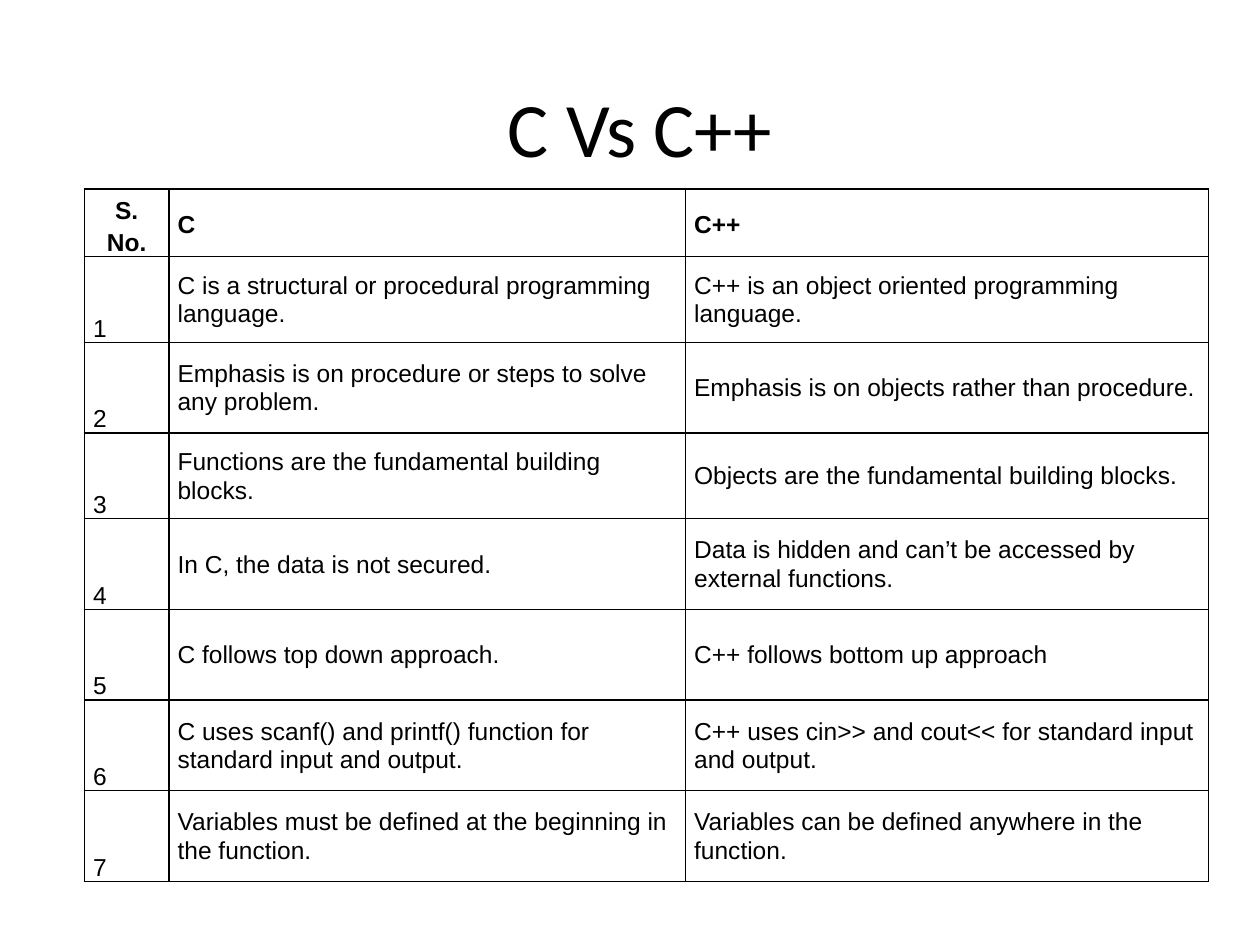
from lxml import etree
from pptx import Presentation
from pptx import util as u
from pptx.dml.color import RGBColor
from pptx.enum import text
from pptx.oxml.ns import qn

COLORS = {"ink": "000000", "paper": "FFFFFF"}
COLUMN_WIDTHS = [0.67, 4.1, 4.15]
ROW_HEIGHTS = [0.51, 0.68, 0.72, 0.68, 0.72, 0.72, 0.72, 0.72]
HEADER = ("S. No.", "C", "C++")
COMPARISONS = [
    ("C is a structural or procedural programming language.",
     "C++ is an object oriented programming language."),
    ("Emphasis is on procedure or steps to solve any problem.",
     "Emphasis is on objects rather than procedure."),
    ("Functions are the fundamental building blocks.",
     "Objects are the fundamental building blocks."),
    ("In C, the data is not secured.",
     "Data is hidden and can’t be accessed by external functions."),
    ("C follows top down approach.",
     "C++ follows bottom up approach"),
    ("C uses scanf() and printf() function for standard input and output.",
     "C++ uses cin>> and cout<< for standard input and output."),
    ("Variables must be defined at the beginning in the function.",
     "Variables can be defined anywhere in the function."),
]


def rgb(name):
    return RGBColor.from_string(COLORS[name])


def set_font(p, name, size, bold=False):
    p.font.name = name
    p.font.size = u.Pt(size)
    p.font.bold = bold
    p.font.color.rgb = rgb("ink")


def add_title(s, left, top, width, height):
    sp = s.shapes.add_textbox(*map(u.Inches, (left, top, width, height)))
    tf = sp.text_frame
    tf.word_wrap = True
    tf.vertical_anchor = text.MSO_ANCHOR.MIDDLE
    p = tf.paragraphs[0]
    p.text = "C Vs C++"
    p.alignment = text.PP_ALIGN.CENTER
    set_font(p, "Calibri", 44)


def add_borders(cell):
    """Draw a 1 pt line on all four sides; lines must precede the cell's fill."""
    tcPr = cell._tc.get_or_add_tcPr()
    for i, side in enumerate(("lnL", "lnR", "lnT", "lnB")):
        ln = etree.Element(qn(f"a:{side}"), w=str(u.Pt(1)))
        fill = etree.SubElement(ln, qn("a:solidFill"))
        etree.SubElement(fill, qn("a:srgbClr"), val=COLORS["ink"])
        tcPr.insert(i, ln)


def fill_cell(cell, words, is_header, is_number):
    cell.fill.solid()
    cell.fill.fore_color.rgb = rgb("paper")
    add_borders(cell)
    cell.margin_left = cell.margin_right = u.Inches(0.07)
    cell.margin_top = cell.margin_bottom = 0
    anchor = text.MSO_ANCHOR
    cell.vertical_anchor = anchor.BOTTOM if is_number else anchor.MIDDLE
    p = cell.text_frame.paragraphs[0]
    p.text = words
    p.line_spacing = 1.15 if is_header else u.Pt(16.3)
    if is_header and is_number:
        p.alignment = text.PP_ALIGN.CENTER
    set_font(p, "Arial", 14, is_header)


def add_comparison_table(s, left, top):
    rows = [HEADER] + [(str(n), *pair) for n, pair in enumerate(COMPARISONS, 1)]
    size = (sum(COLUMN_WIDTHS), sum(ROW_HEIGHTS))
    table = s.shapes.add_table(len(rows), len(HEADER),
                               *map(u.Inches, (left, top, *size))).table
    table.horz_banding = False
    for column, width in zip(table.columns, COLUMN_WIDTHS):
        column.width = u.Inches(width)
    for row, height in zip(table.rows, ROW_HEIGHTS):
        row.height = u.Inches(height)
    for i, row in enumerate(rows):
        for j, words in enumerate(row):
            fill_cell(table.cell(i, j), words, i == 0, j == 0)


def main():
    prs = Presentation()
    prs.slide_width, prs.slide_height = u.Inches(10), u.Inches(7.5)
    s = prs.slides.add_slide(prs.slide_layouts[6])
    add_title(s, 0.83, 0.42, 8.5, 1.17)
    add_comparison_table(s, 0.67, 1.5)
    prs.save("out.pptx")


if __name__ == "__main__":
    main()
